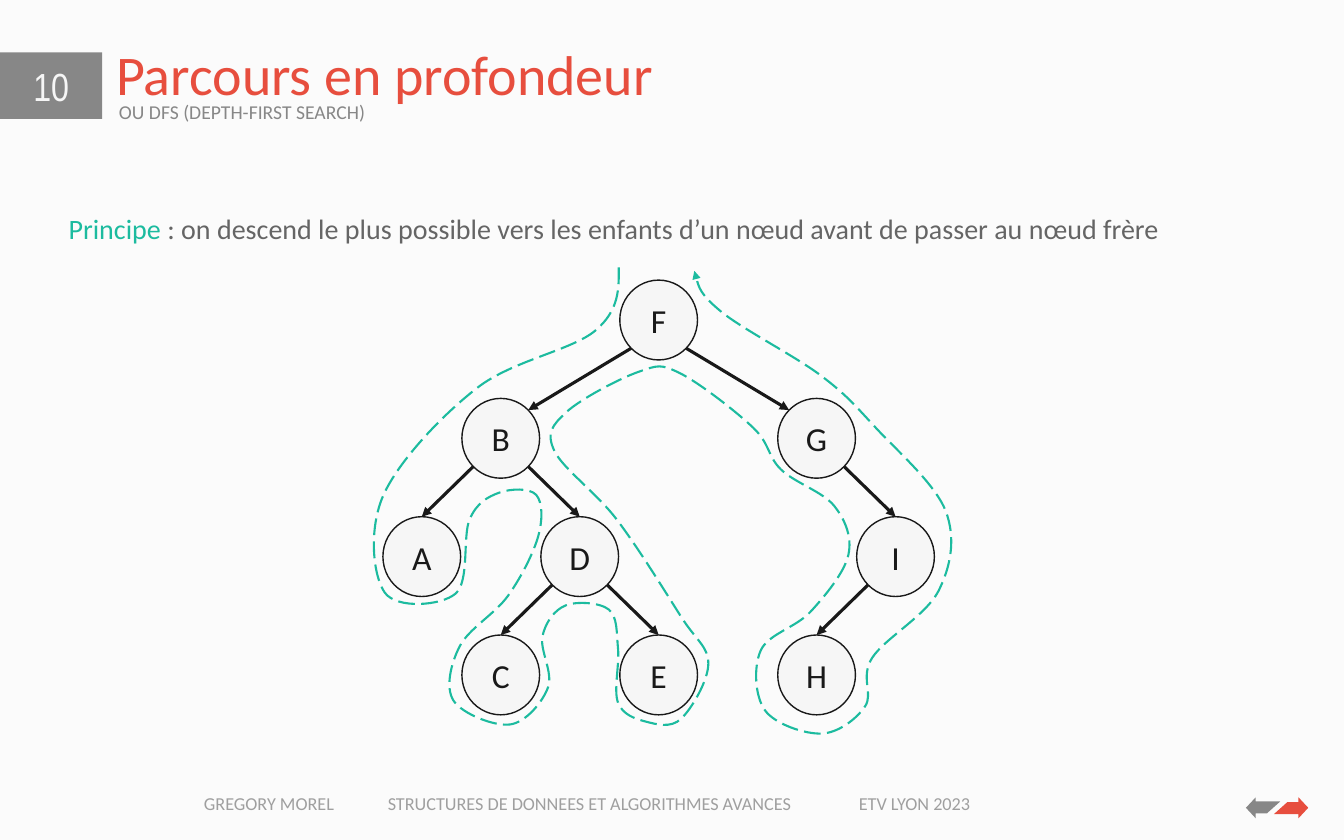
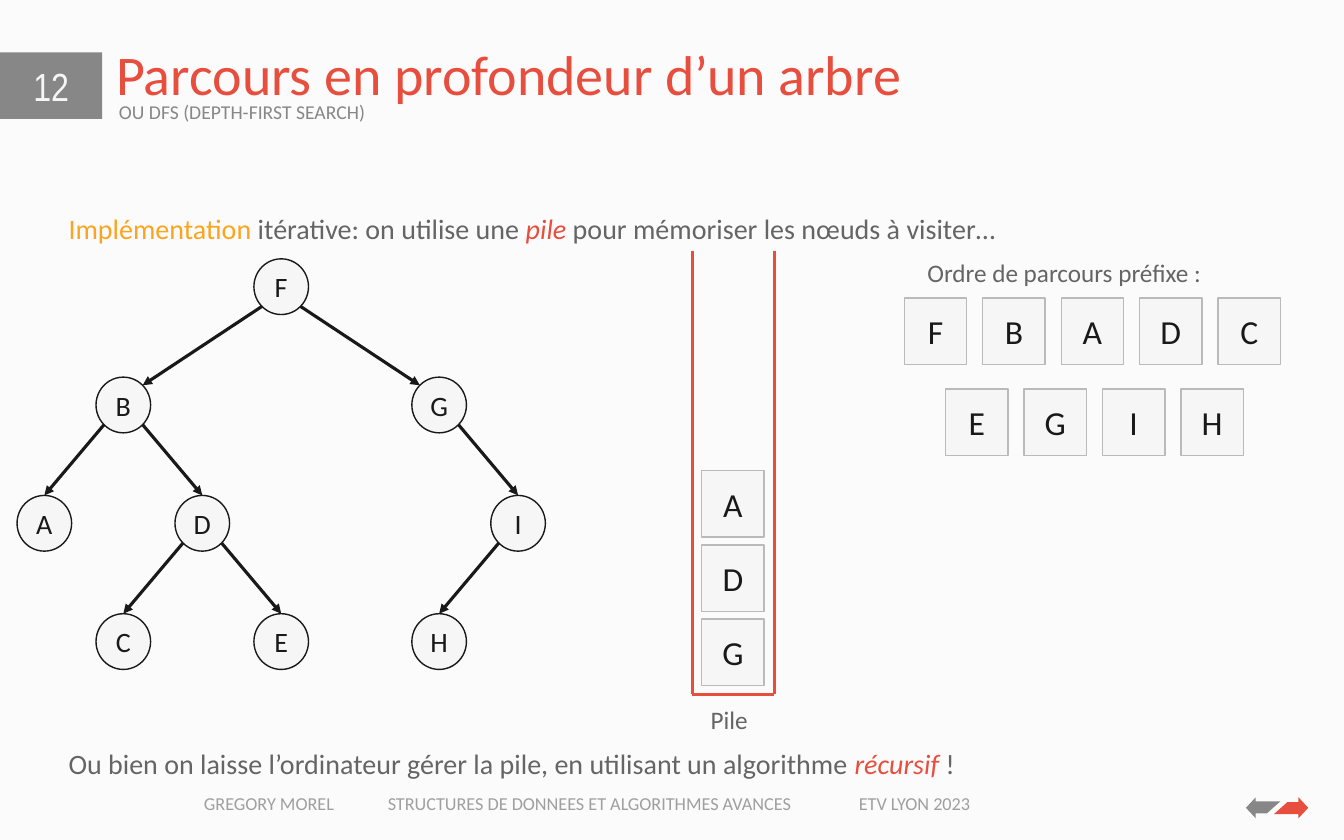
"""Two slides on depth-first tree traversal."""
from math import sqrt

from pptx import Presentation
from pptx.dml.color import RGBColor
from pptx.enum import dml, shapes, text
from pptx.oxml import ns, xmlchemy
from pptx.util import Pt

COLORS = dict(
    page="FBFBFB", band="878787", title="E74E3E", pale="F6F6F6", body="656565",
    ink="191919", trail="1CBB9F", amber="FBA41F", cell="BABABA", footer="9F9F9F",
)
CENTER = text.PP_ALIGN.CENTER
MIDDLE = text.MSO_ANCHOR.MIDDLE
STYLES = {
    "title": dict(font=dict(size=Pt(40)), paragraph=dict(line_spacing=0.9),
                  frame=dict(vertical_anchor=text.MSO_ANCHOR.BOTTOM)),
    "subtitle": dict(font=dict(size=Pt(14)), paragraph=dict(line_spacing=0.9)),
    "number": dict(font=dict(size=Pt(28), name="Arial Narrow"), paragraph=dict(alignment=CENTER),
                   frame=dict(vertical_anchor=MIDDLE)),
    "body": dict(font=dict(size=Pt(20)), paragraph=dict(line_spacing=1.5)),
    "label": dict(font=dict(size=Pt(18))),
    "footer": dict(font=dict(size=Pt(13))),
    "big letter": dict(font=dict(size=Pt(24)), paragraph=dict(alignment=CENTER),
                       frame=dict(vertical_anchor=MIDDLE)),
    "letter": dict(font=dict(size=Pt(20)), paragraph=dict(alignment=CENTER),
                   frame=dict(vertical_anchor=MIDDLE)),
}

SUBTITLE = "OU DFS (DEPTH-FIRST SEARCH)"
FOOTERS = [
    ("GREGORY MOREL", 145.7),
    ("STRUCTURES DE DONNEES ET ALGORITHMES AVANCES", 277),
    ("ETV LYON 2023", 613.5),
]
NEXT_ARROW = [(927.5, 573), (927.5, 569.5), (934.5, 577), (927.5, 584.5),
              (927.5, 581.5), (910, 581.5), (919.5, 573)]
ARROWS_CENTER = (912.25, 577)

PRINCIPLE = [
    ("Principe", "trail"),
    (" : on descend le plus possible vers les enfants d’un nœud avant de passer au nœud frère", "body"),
]
IMPLEMENTATION = [
    ("Implémentation", "amber"),
    (" itérative: on utilise une ", "body"),
    ("pile", "title", True),
    (" pour mémoriser les nœuds à visiter…", "body"),
]
RECURSION = [
    ("Ou bien on laisse l’ordinateur gérer la pile, en utilisant un algorithme ", "body"),
    ("récursif", "title", True),
    (" !", "body"),
]

NODES = {"F": (3, 0), "B": (1, 1), "G": (5, 1), "A": (0, 2), "D": (2, 2),
         "I": (6, 2), "C": (1, 3), "E": (3, 3), "H": (5, 3)}
EDGES = ["FB", "BA", "BD", "FG", "GI", "DE", "DC", "IH"]
COLUMN_STEP, LEVEL_STEP = 56.4, 84.5

TRAIL = [
    (442, 191), (425.5, 236), (341, 277), (274, 353.5), (275, 423.5), (325.5, 424),
    (335.5, 371), (356.5, 352), (383, 353.5), (384.5, 383), (363, 425.5), (328.5, 461.5),
    (324, 500.5), (364.5, 517.5), (391.5, 491), (387.5, 454.5), (404, 432.5), (435, 435.5),
    (441.5, 463.5), (441.5, 502), (461.5, 515.5), (486.5, 513.5), (506, 474), (486.5, 440.5),
    (440.5, 371), (396, 322), (404.5, 294.5), (456.5, 265.5), (485.5, 266.5), (538, 305.5),
    (558, 335.5), (596, 361.5), (606, 396.5), (579, 437), (543.5, 464.5), (546.5, 507.5),
    (587, 524), (618, 504.5), (623, 470), (670.5, 422), (675.5, 365), (625.5, 305.5),
    (586, 268), (515, 222.5), (496, 193.5),
]

CELL = (44.6, 47.5)
VISITED = [("FBADC", 646, 213), ("EGIH", 675.5, 278)]
VISITED_STEP = 56
STACK, STACK_LEFT, STACK_TOP, STACK_STEP = "ADG", 501.2, 336.2, 53
STACK_WALLS = [(494.5, 179.5), (494.5, 496), (553, 496), (553, 179.5)]


def rgb(name):
    return RGBColor.from_string(COLORS[name])


def assign(target, values):
    for name, value in values.items():
        setattr(target, name, value)


def write(shape, runs, style):
    look = STYLES[style]
    frame = shape.text_frame
    margins = {f"margin_{side}": 0 for side in ("left", "top", "right", "bottom")}
    assign(frame, dict(margins, word_wrap=True, **look.get("frame", {})))
    paragraph = frame.paragraphs[0]
    assign(paragraph, look.get("paragraph", {}))
    for words, color, *italic in runs:
        run = paragraph.add_run()
        run.text = words
        assign(run.font, dict(name="Calibri", italic=bool(italic)) | look["font"])
        run.font.color.rgb = rgb(color)


def add_text(slide, box, runs, style):
    write(slide.shapes.add_textbox(*map(Pt, box)), runs, style)


def paint(shape, fill=None, line=None, width=1):
    shape.shadow.inherit = False
    if fill:
        shape.fill.solid()
        shape.fill.fore_color.rgb = rgb(fill)
    else:
        shape.fill.background()
    if line:
        shape.line.color.rgb = rgb(line)
        shape.line.width = Pt(width)
    else:
        shape.line.fill.background()


def add_block(slide, kind, box, letter, style, line=None, fill="pale", color="ink"):
    block = slide.shapes.add_shape(kind, *map(Pt, box))
    paint(block, fill, line)
    write(block, [(letter, color)], style)
    return block


def add_outline(slide, points, close):
    corners = [(Pt(x), Pt(y)) for x, y in points]
    builder = slide.shapes.build_freeform(*corners[0])
    builder.add_line_segments(corners[1:], close=close)
    return builder.convert_to_shape()


def add_arrowhead(line):
    etree_tail = xmlchemy.OxmlElement("a:tailEnd")
    etree_tail.set("type", "triangle")
    line.get_or_add_ln().append(etree_tail) if hasattr(line, "get_or_add_ln") else None


def add_line(slide, start, end, color):
    line = slide.shapes.add_connector(shapes.MSO_CONNECTOR.STRAIGHT, *map(Pt, (*start, *end)))
    line.line.color.rgb = rgb(color)
    line.line.width = Pt(2.25)
    properties = line._element.spPr
    properties.append(xmlchemy.OxmlElement("a:effectLst"))
    return line


def add_tree(slide, left, top, size, style):
    """Draw the nodes, left and top being the centre of the first column and level."""
    width, height = size
    dx, dy = width / 2 / sqrt(2), height / 2 / sqrt(2)
    centers = {name: (left + column * COLUMN_STEP, top + level * LEVEL_STEP)
               for name, (column, level) in NODES.items()}
    circles = {name: add_block(slide, shapes.MSO_SHAPE.OVAL,
                               (x - width / 2, y - height / 2, width, height), name, style, "ink")
               for name, (x, y) in centers.items()}
    for parent, child in EDGES:
        (x1, y1), (x2, y2) = centers[parent], centers[child]
        side = 1 if x2 > x1 else -1
        below_root = NODES[parent][1] == 0
        end = (x2 - side * dx, y2 - dy) if below_root else (x2, y2 - height / 2)
        edge = add_line(slide, (x1 + side * dx, y1 + dy), end, "ink")
        if not below_root:
            edge.end_connect(circles[child], 0)
        add_arrowhead(edge._element.spPr)


def smooth(shape):
    """Turn the straight segments into a curve through the same points."""
    segments = list(shape._element.iter(ns.qn("a:lnTo")))
    points = [(int(p.get("x")), int(p.get("y"))) for p in shape._element.iter(ns.qn("a:pt"))]
    last = len(points) - 1

    def control(index, sign):
        before, here, after = points[index - 1:index + 2]
        return tuple(h + sign * (a - b) / 6 for b, h, a in zip(before, here, after))

    def halfway(a, b):
        return tuple((m + n) / 2 for m, n in zip(a, b))

    for index, segment in enumerate(segments):
        start, end = points[index], points[index + 1]
        first = control(index, 1) if index else halfway(start, control(1, -1))
        second = control(index + 1, -1) if index + 1 < last else halfway(end, first)
        curve = xmlchemy.OxmlElement("a:cubicBezTo")
        for x, y in (first, second, end):
            point = xmlchemy.OxmlElement("a:pt")
            point.set("x", str(round(x)))
            point.set("y", str(round(y)))
            curve.append(point)
        segment.getparent().replace(segment, curve)


def add_trail(slide):
    trail = add_outline(slide, TRAIL, close=False)
    paint(trail, line="trail", width=1.5)
    trail.line.dash_style = dml.MSO_LINE.LONG_DASH
    smooth(trail)
    add_arrowhead(trail._element.spPr)


def start_slide(deck, number, title):
    slide = deck.slides.add_slide(deck.slide_layouts[6])
    add_block(slide, shapes.MSO_SHAPE.RECTANGLE, (0, 37.5, 73, 47.5), number, "number",
              fill="band", color="pale")
    add_text(slide, (83, 13, 720, 64), [(title, "title")], "title")
    add_text(slide, (85, 73.5, 720, 28), [(SUBTITLE, "band")], "subtitle")
    for words, left in FOOTERS:
        add_text(slide, (left, 566, 320, 16), [(words, "footer")], "footer")
    cx, cy = ARROWS_CENTER
    back_arrow = [(2 * cx - x, 2 * cy - y) for x, y in NEXT_ARROW]
    for points, color in ((NEXT_ARROW, "title"), (back_arrow, "band")):
        paint(add_outline(slide, points, close=True), color)
    return slide


def add_cell(slide, left, top, letter):
    add_block(slide, shapes.MSO_SHAPE.RECTANGLE, (left, top, *CELL), letter, "big letter", "cell")


def build_principle(deck):
    slide = start_slide(deck, "10", "Parcours en profondeur")
    add_text(slide, (49, 139, 890, 36), PRINCIPLE, "body")
    add_tree(slide, 301.3, 228.6, (55.5, 57), "big letter")
    add_trail(slide)


def build_implementation(deck):
    slide = start_slide(deck, "12", "Parcours en profondeur d’un arbre")
    add_text(slide, (49, 139, 720, 36), IMPLEMENTATION, "body")
    add_tree(slide, 31.7, 204.8, (39, 39.8), "letter")
    for start, end in zip(STACK_WALLS, STACK_WALLS[1:]):
        add_line(slide, start, end, "title")
    for index, letter in enumerate(STACK):
        add_cell(slide, STACK_LEFT, STACK_TOP + index * STACK_STEP, letter)
    for letters, left, top in VISITED:
        for index, letter in enumerate(letters):
            add_cell(slide, left + index * VISITED_STEP, top, letter)
    add_text(slide, (507.6, 503.3, 60, 22), [("Pile", "body")], "label")
    add_text(slide, (662.4, 183.6, 215, 22), [("Ordre de parcours préfixe :", "body")], "label")
    add_text(slide, (49, 521.3, 720, 36), RECURSION, "body")


def main():
    deck = Presentation()
    deck.slide_width, deck.slide_height = Pt(960), Pt(600)
    backdrop = deck.slide_master.background.fill
    backdrop.solid()
    backdrop.fore_color.rgb = rgb("page")
    build_principle(deck)
    build_implementation(deck)
    deck.save("out.pptx")


if __name__ == "__main__":
    main()
